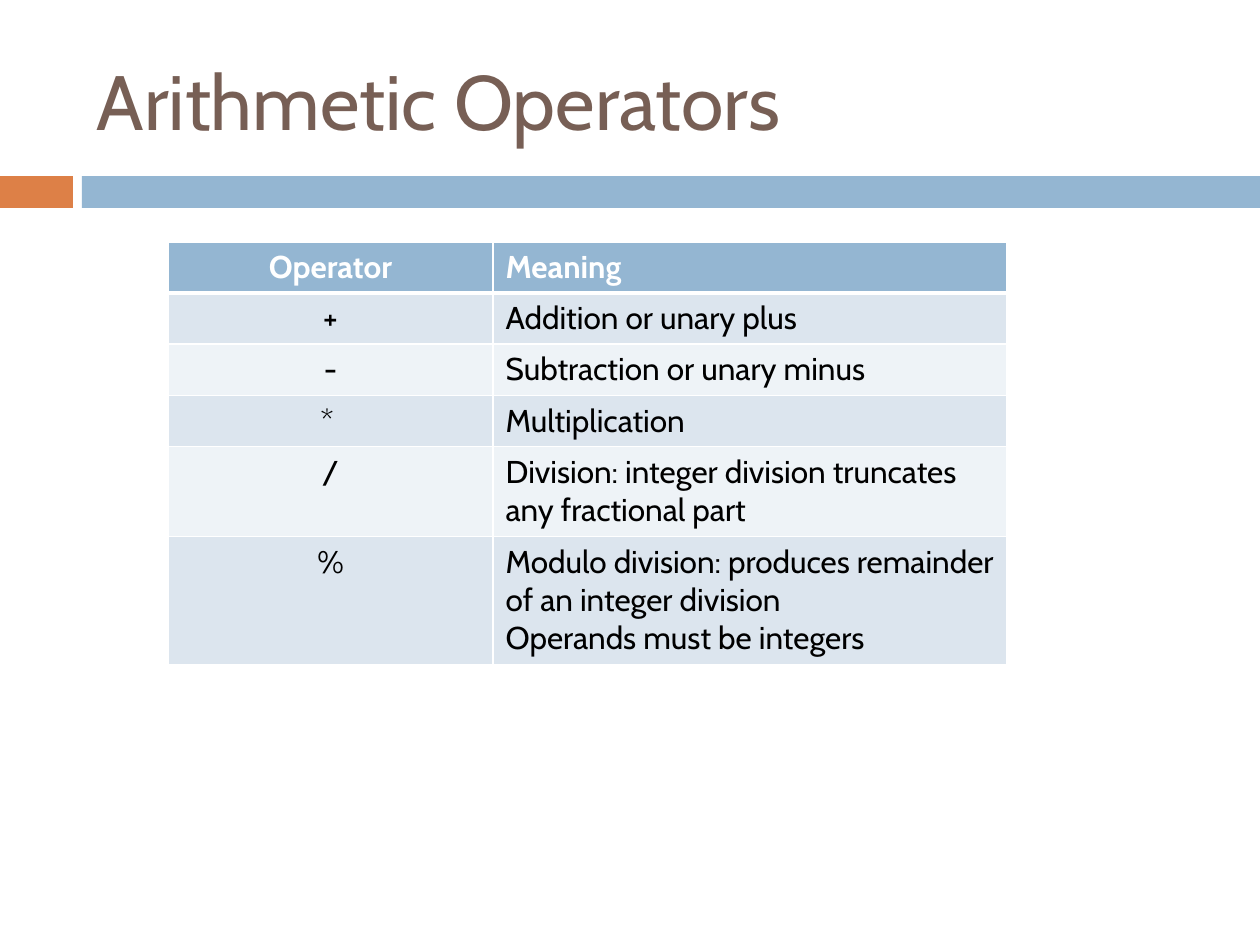
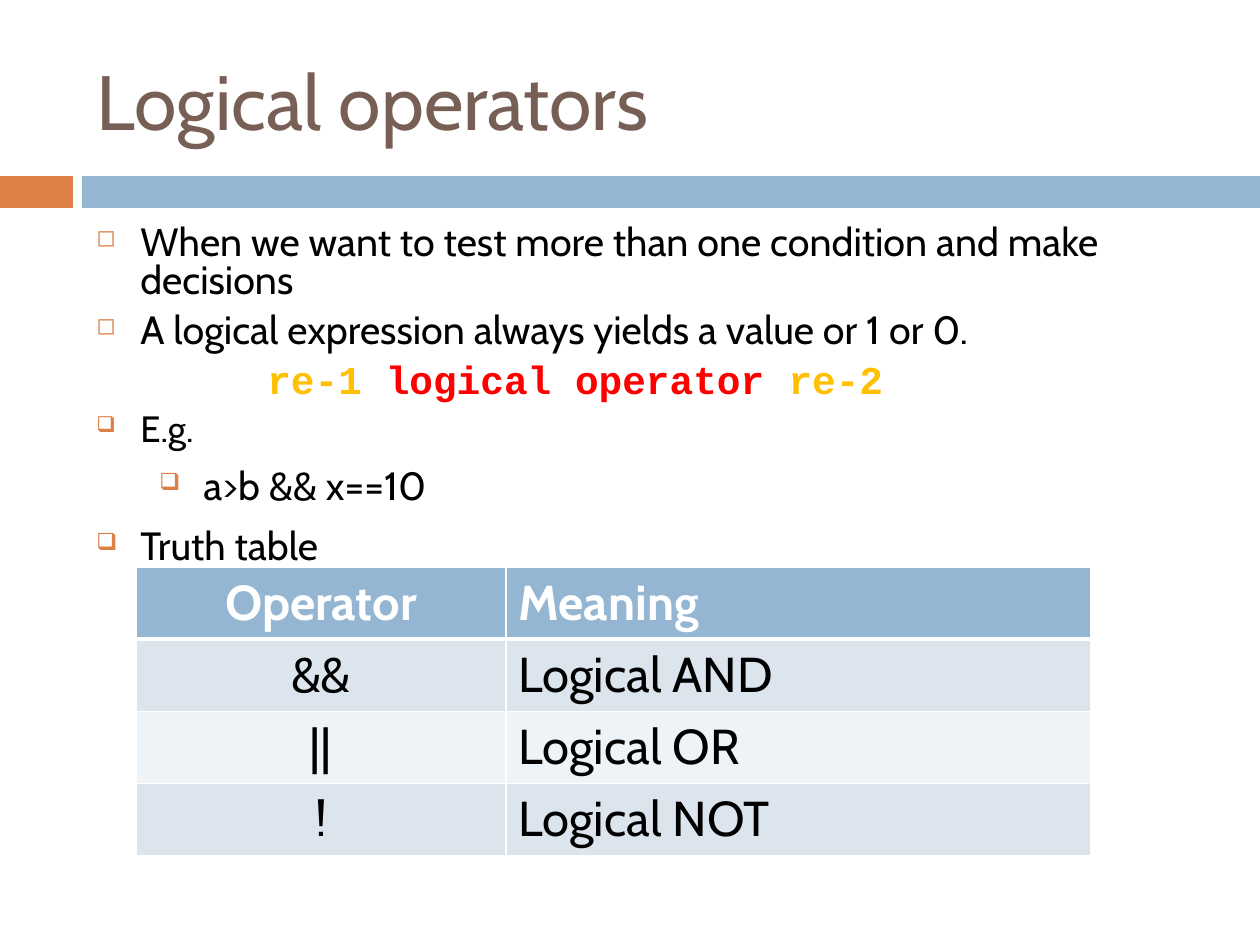
import pptx
import pptx.dml.color
import pptx.enum.shapes
import pptx.enum.text
import pptx.oxml
import pptx.oxml.ns
import pptx.util
from lxml import etree

COLORS = {
    "title": "775F55", "accent": "DD8047", "band": "94B6D2",
    "row_dark": "DCE5EE", "row_light": "EEF3F7",
    "white": "FFFFFF", "black": "000000", "operand": "FFC000", "operator": "FF0000",
}
FONT = "Cabin"
SCALE = 914400 / 126
ALIGN = pptx.enum.text.PP_ALIGN


def px(length):
    return pptx.util.Emu(round(length * SCALE))


def style_font(font, size, color, bold=False, name=FONT):
    font.name = name
    font.size = pptx.util.Pt(size)
    font.bold = bold
    font.color.rgb = pptx.dml.color.RGBColor.from_string(COLORS[color])


pages = [
    {
        "title": "Arithmetic Operators",
        "left": 168, "top": 242, "columns": [325, 514],
        "heights": [51, 51, 51, 51, 90, 128], "size": 18,
        "rows": [
            ("Operator", "Meaning"),
            ("+", "Addition or unary plus"),
            ("-", "Subtraction or unary minus"),
            ("* ", "Multiplication"),
            ("/", "Division: integer division truncates any fractional part"),
            ("%", "Modulo division: produces remainder of an integer division\n"
                  "Operands must be integers"),
        ],
        "body": [],
    },
    {
        "title": "Logical operators",
        "left": 136, "top": 567, "columns": [370, 585],
        "heights": [72] * 4, "size": 28,
        "rows": [
            ("Operator", "Meaning"),
            ("&&", "Logical AND"),
            ("||", "Logical OR"),
            ("!", "Logical NOT"),
        ],
        "body": [
            ("When we want to test more than one condition and make decisions", "◻", 44, 22.5, 0.8),
            ("A logical expression always yields a value or 1 or 0.", "◻", 44, 22.5, 0.8),
            ([("re-1 ", "operand"), ("logical operator ", "operator"), ("re-2", "operand")],
             None, 171, 22.5, 0.8),
            ("E.g.", "❑", 44, 20.9, 0.8),
            ("a>b && x==10", "❑", 107, 22.5, 1),
            ("Truth table", "❑", 44, 22.5, 1),
        ],
    },
]

presentation = pptx.Presentation()
presentation.slide_width = px(1260)
presentation.slide_height = px(945)

for page in pages:
    slide = presentation.slides.add_slide(presentation.slide_layouts[5])
    for left, width, color in [(0, 73, "accent"), (82, 1178, "band")]:
        band = slide.shapes.add_shape(
            pptx.enum.shapes.MSO_SHAPE.RECTANGLE, px(left), px(176), px(width), px(32))
        band.shadow.inherit = False
        band.fill.solid()
        band.fill.fore_color.rgb = pptx.dml.color.RGBColor.from_string(COLORS[color])
        band.line.fill.background()

    title = slide.shapes.title
    title.left, title.top, title.width, title.height = px(84), px(32), px(1124), px(136)
    title.text_frame.text = page["title"]
    title.text_frame.vertical_anchor = pptx.enum.text.MSO_ANCHOR.MIDDLE
    title.text_frame.paragraphs[0].alignment = ALIGN.LEFT
    style_font(title.text_frame.paragraphs[0].font, 44, "title")

    table = slide.shapes.add_table(
        len(page["rows"]), 2, px(page["left"]), px(page["top"]),
        px(sum(page["columns"])), px(sum(page["heights"]))).table
    for column, width in zip(table.columns, page["columns"]):
        column.width = px(width)
    for row_index, texts in enumerate(page["rows"]):
        table.rows[row_index].height = px(page["heights"][row_index])
        header = row_index == 0
        fill = "band" if header else "row_dark" if row_index % 2 else "row_light"
        for column_index, text in enumerate(texts):
            cell = table.cell(row_index, column_index)
            cell.text = text
            for paragraph in cell.text_frame.paragraphs:
                paragraph.alignment = ALIGN.LEFT if column_index else ALIGN.CENTER
                style_font(paragraph.font, page["size"], "white" if header else "black", header)
            properties = cell._tc.get_or_add_tcPr()
            for side in ("lnL", "lnR", "lnT", "lnB"):
                thick = (header and side == "lnB") or (row_index == 1 and side == "lnT")
                border = etree.SubElement(properties, pptx.oxml.ns.qn(f"a:{side}"),
                                          w=str(pptx.util.Pt(3 if thick else 1)))
                border_fill = etree.SubElement(border, pptx.oxml.ns.qn("a:solidFill"))
                etree.SubElement(border_fill, pptx.oxml.ns.qn("a:srgbClr"), val=COLORS["white"])
            cell.fill.solid()
            cell.fill.fore_color.rgb = pptx.dml.color.RGBColor.from_string(COLORS[fill])

    if page["body"]:
        frame = slide.shapes.add_textbox(px(84), px(220), px(1124), px(305)).text_frame
        frame.word_wrap = True
        for index, (content, bullet, indent, size, spacing) in enumerate(page["body"]):
            paragraph = frame.add_paragraph() if index else frame.paragraphs[0]
            paragraph.line_spacing = spacing
            paragraph.space_before = pptx.util.Pt(7)
            properties = paragraph._p.get_or_add_pPr()
            properties.set("marL", str(px(indent)))
            if bullet:
                properties.set("indent", str(px(-44)))
                bullet_color = etree.SubElement(properties, pptx.oxml.ns.qn("a:buClr"))
                etree.SubElement(bullet_color, pptx.oxml.ns.qn("a:srgbClr"), val=COLORS["accent"])
                etree.SubElement(properties, pptx.oxml.ns.qn("a:buSzPct"), val="60000")
                etree.SubElement(properties, pptx.oxml.ns.qn("a:buChar"), char=bullet)
                paragraph.add_run().text = content
                style_font(paragraph.font, size, "black")
            else:
                for text, color in content:
                    run = paragraph.add_run()
                    run.text = text
                    style_font(run.font, size, color, True, "Courier New")

presentation.save("out.pptx")
